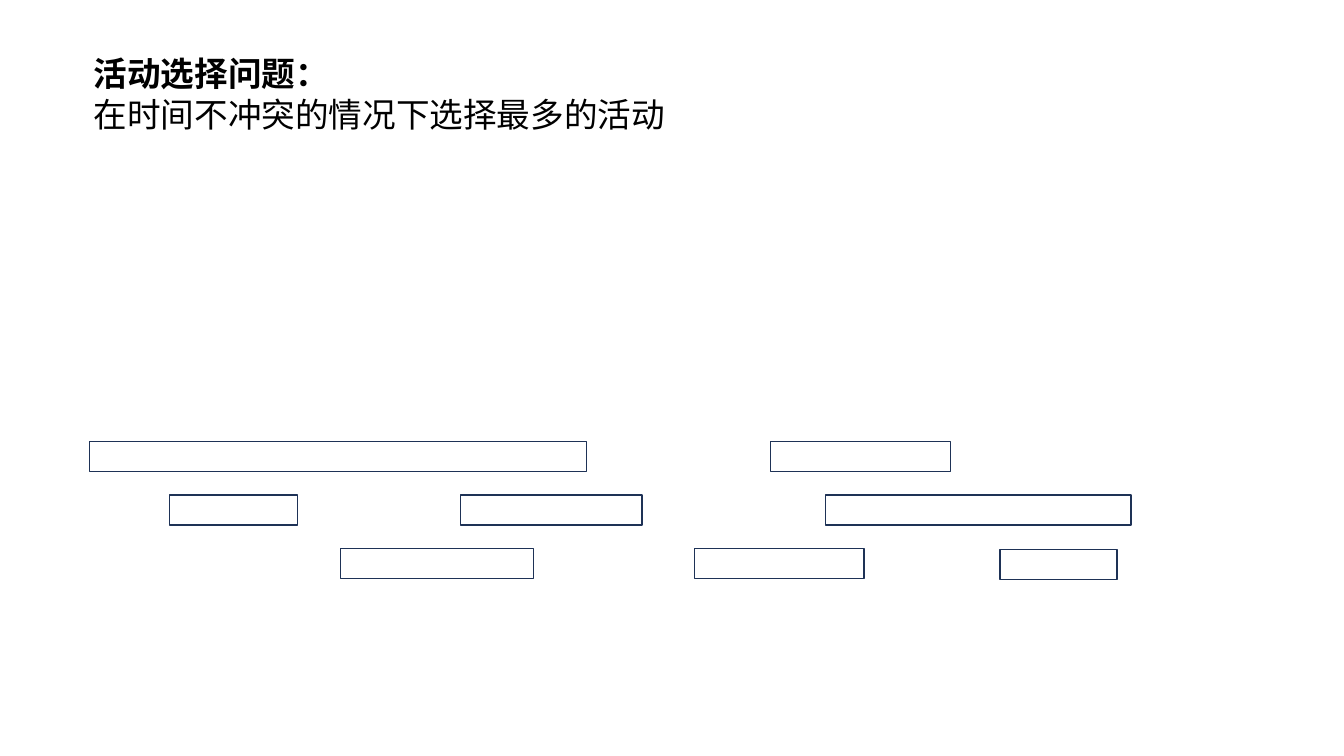
from dataclasses import dataclass

from pptx import Presentation
from pptx.dml.color import RGBColor
from pptx.enum.shapes import MSO_SHAPE as Shape
from pptx.enum.text import MSO_ANCHOR as Anchor
from pptx.oxml import parse_xml
from pptx.oxml.ns import nsdecls
from pptx.slide import Slide
from pptx.util import Inches, Pt

WIDTH, HEIGHT = Inches(13.33), Inches(7.5)
FONT = "Noto Sans CJK SC"
INK, OUTLINE = "000000", "1E3256"
FIRST_LANE, LANE_PITCH, BAR_HEIGHT = 58.4, 7.07, 4


@dataclass(frozen=True)
class Activity:
    """A time bar: its lane, and its start and duration in percent of the width."""

    lane: float
    start: float
    duration: float


@dataclass(frozen=True)
class HeadingLine:
    """One line of the heading."""

    text: str
    bold: bool


ACTIVITIES = [
    Activity(0, 6.68, 36.98),
    Activity(1, 12.6, 9.53),
    Activity(2, 25.36, 14.33),
    Activity(1, 34.28, 13.5),
    Activity(0, 57.31, 13.43),
    Activity(2, 51.69, 12.6),
    Activity(1, 61.44, 22.73),
    Activity(2.02, 74.42, 8.7),
]
HEADING = [
    HeadingLine("活动选择问题：", True),
    HeadingLine("在时间不冲突的情况下选择最多的活动", False),
]


def color(value: str) -> RGBColor:
    """Turn a hex string into a colour."""
    return RGBColor.from_string(value)


def area(left: float, top: float, width: float, height: float) -> tuple[int, ...]:
    """Turn percentages of the slide into a position and a size."""
    sides = (WIDTH, HEIGHT, WIDTH, HEIGHT)
    shares = (left, top, width, height)
    return tuple(round(side * share / 100) for side, share in zip(sides, shares))


def add_heading(page: Slide, lines: list[HeadingLine]) -> None:
    """Write the heading, one paragraph per line."""
    box = page.shapes.add_textbox(*area(6.23, 6.27, 87.55, 12.13))
    frame = box.text_frame
    frame.word_wrap = True
    frame.vertical_anchor = Anchor.TOP
    for index, line in enumerate(lines):
        para = frame.add_paragraph() if index else frame.paragraphs[0]
        para.line_spacing = Pt(29.3)
        span = para.add_run()
        span.text = line.text
        span.font.name = FONT
        span.font.size = Pt(24)
        span.font.bold = line.bold
        span.font.color.rgb = color(INK)
        east_asian = parse_xml(f'<a:ea {nsdecls("a")} typeface="{FONT}"/>')
        span.font._element.append(east_asian)


def add_activity(page: Slide, activity: Activity) -> None:
    """Draw one activity as an outlined bar in its lane."""
    top = FIRST_LANE + activity.lane * LANE_PITCH
    bar = page.shapes.add_shape(
        Shape.RECTANGLE, *area(activity.start, top, activity.duration, BAR_HEIGHT)
    )
    bar.shadow.inherit = False
    bar.fill.background()
    bar.line.color.rgb = color(OUTLINE)
    bar.line.width = Pt(1)


def main() -> None:
    """Build and save the slide."""
    deck = Presentation()
    deck.slide_width, deck.slide_height = WIDTH, HEIGHT
    page = deck.slides.add_slide(deck.slide_layouts[6])
    add_heading(page, HEADING)
    for activity in ACTIVITIES:
        add_activity(page, activity)
    deck.save("out.pptx")


if __name__ == "__main__":
    main()
